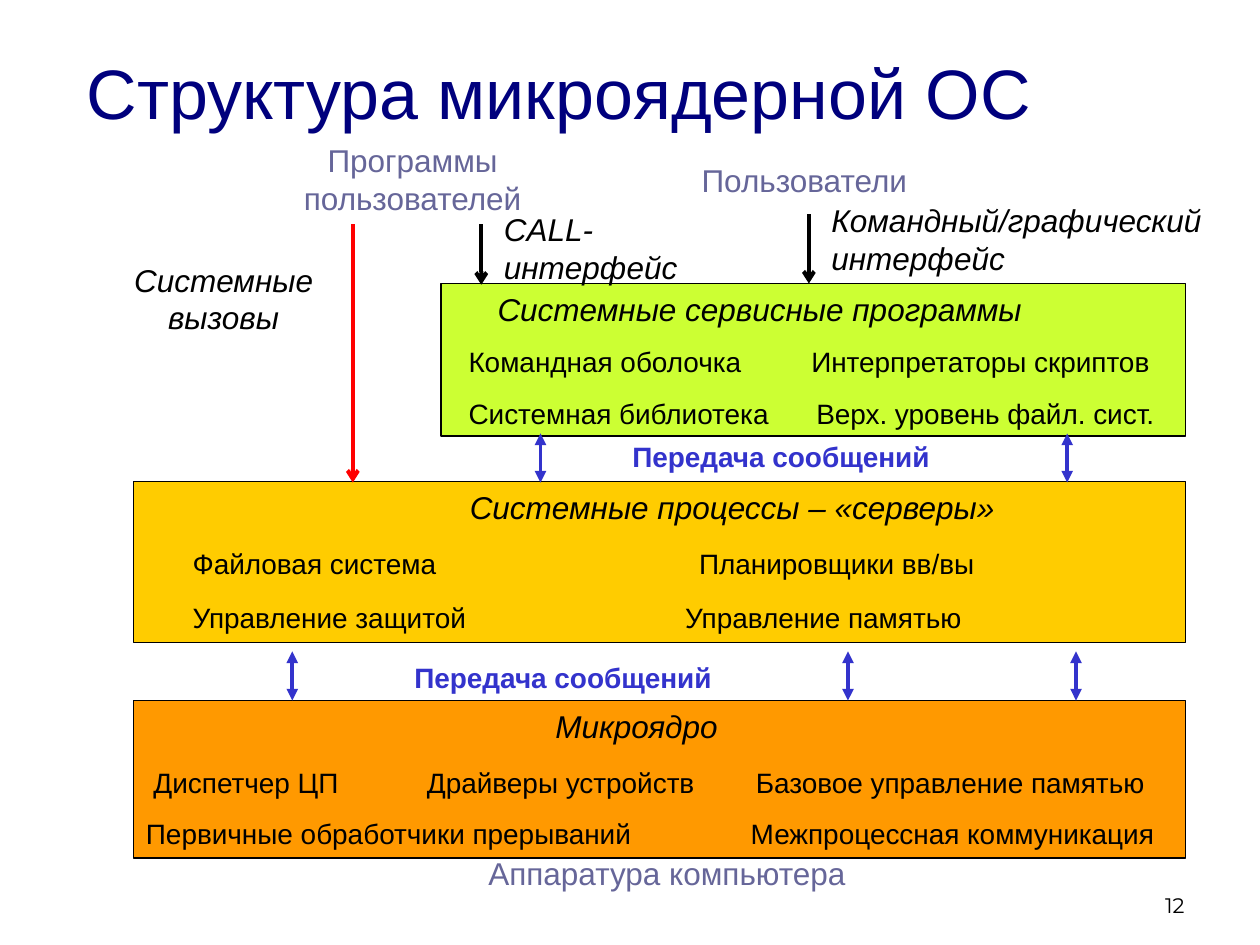
"""Build a slide showing the layered structure of a microkernel operating system."""
from pptx import Presentation
from pptx.dml.color import RGBColor
from pptx.enum.shapes import MSO_CONNECTOR, MSO_SHAPE
from pptx.enum.text import MSO_ANCHOR, PP_ALIGN
from pptx.oxml.ns import qn
from pptx.oxml.xmlchemy import OxmlElement
from pptx.util import Inches, Pt

LEFT, CENTER, RIGHT = PP_ALIGN.LEFT, PP_ALIGN.CENTER, PP_ALIGN.RIGHT
TOP, MIDDLE, BOTTOM = MSO_ANCHOR.TOP, MSO_ANCHOR.MIDDLE, MSO_ANCHOR.BOTTOM
RECTANGLE, STRAIGHT = MSO_SHAPE.RECTANGLE, MSO_CONNECTOR.STRAIGHT
CELL = Inches(0.1)
COLUMNS, ROWS = 100, 75
BLACK, RED, NAVY, SLATE, BLUE = "000000", "FF0000", "00007D", "666699", "3333CC"


def grid(*cells):
    return [round(cell * CELL) for cell in cells]


def color(value):
    return RGBColor.from_string(value)


deck = Presentation()
deck.slide_width, deck.slide_height = grid(COLUMNS, ROWS)
page = deck.slides.add_slide(deck.slide_layouts[6])

layers = [
    ((35, 22.5, 59.1, 12.1), "CCFF33", [
        (0, [(3.5, "Системные сервисные программы")]),
        (10, [(1.2, "Командная оболочка"), (28.4, "Интерпретаторы скриптов")]),
        (10, [(1.2, "Системная библиотека"), (28.8, "Верх. уровень файл. сист.")]),
    ]),
    ((10.6, 38.2, 83.5, 12.8), "FFCC00", [
        (0, [(25.7, "Системные процессы – «серверы»")]),
        (12, [(3.7, "Файловая система"), (43.9, "Планировщики вв/вы")]),
        (12, [(3.7, "Управление защитой"), (42.8, "Управление памятью")]),
    ]),
    ((10.6, 55.6, 83.5, 12.5), "FF9900", [
        (0, [(32.5, "Микроядро")]),
        (12, [(0.6, "Диспетчер ЦП"), (22.3, "Драйверы устройств"),
              (48.4, "Базовое управление памятью")]),
        (10, [(0, "Первичные обработчики прерываний"),
              (48, "Межпроцессная коммуникация")]),
    ]),
]
for place, fill, lines in layers:
    box = page.shapes.add_shape(RECTANGLE, *grid(*place))
    box.shadow.inherit = False
    box.fill.solid()
    box.fill.fore_color.rgb = color(fill)
    box.line.color.rgb = color(BLACK)
    box.line.width = Pt(0.75)
    frame = box.text_frame
    frame.word_wrap = True
    frame.vertical_anchor = TOP
    for index, (gap, items) in enumerate(lines):
        para = frame.add_paragraph() if index else frame.paragraphs[0]
        para.text = "".join(("\t" if stop else "") + words for stop, words in items)
        para.alignment = LEFT
        if index:
            para.space_before = Pt(gap)
        tabs = OxmlElement("a:tabLst")
        for stop, words in items:
            if stop:
                tab = OxmlElement("a:tab")
                tab.set("pos", str(grid(stop)[0]))
                tab.set("algn", "l")
                tabs.append(tab)
        para._p.get_or_add_pPr().append(tabs)
        para.font.name = "Arial"
        para.font.size = Pt(16 if index else 18)
        para.font.italic = index == 0
        para.font.color.rgb = color(BLACK)

arrows = [
    (28, 17.8, 38.3, RED, False),
    (38.2, 17.8, 22.6, BLACK, False),
    (64.2, 17, 22.5, BLACK, False),
]
arrows += [(column, 34.4, 38.3, BLUE, True) for column in (42.9, 84.7)]
arrows += [(column, 51.7, 55.6, BLUE, True) for column in (23.2, 67.3, 85.4)]
for column, top, bottom, ink, both_ways in arrows:
    arrow = page.shapes.add_connector(STRAIGHT, *grid(column, top, column, bottom))
    arrow.line.color.rgb = color(ink)
    arrow.line.width = Pt(2.25)
    properties = arrow._element.spPr
    for end in ("a:headEnd", "a:tailEnd") if both_ways else ("a:tailEnd",):
        tip = OxmlElement(end)
        tip.set("type", "triangle" if both_ways else "arrow")
        properties.find(qn("a:ln")).append(tip)
    properties.append(OxmlElement("a:effectLst"))

plain, italic, bold = (False, False), (False, True), (True, False)
labels = [
    ("Структура микроядерной ОС", (5.9, 3.6, 89, 7.3), "Arial", 40, NAVY, plain, LEFT, MIDDLE),
    ("Программы пользователей", (22.9, 10.7, 19.7, 7), "Arial", 18, SLATE, plain, CENTER, TOP),
    ("Пользователи", (54.7, 12.3, 19.7, 4), "Arial", 18, SLATE, plain, LEFT, TOP),
    ("Системные вызовы", (9.1, 20.2, 17.3, 7), "Arial", 18, BLACK, italic, CENTER, TOP),
    ("СALL-интерфейс", (39, 16.2, 16.5, 7), "Arial", 18, BLACK, italic, LEFT, TOP),
    ("Командный/графический интерфейс", (65, 15.5, 32.3, 7), "Arial", 18, BLACK, italic, LEFT, TOP),
    ("Аппаратура компьютера", (35, 67.3, 33.1, 4), "Arial", 18, SLATE, plain, RIGHT, TOP),
    ("Передача сообщений", (31.9, 51.9, 37, 3.7), "Arial", 16, BLUE, bold, LEFT, TOP),
    ("Передача сообщений", (49.2, 34.4, 37, 3.7), "Arial", 16, BLUE, bold, LEFT, TOP),
    ("12", (71.7, 68.3, 23.3, 5), "Montserrat", 12, BLACK, plain, RIGHT, BOTTOM),
]
for words, place, face, size, ink, (heavy, slanted), side, anchor in labels:
    box = page.shapes.add_textbox(*grid(*place))
    frame = box.text_frame
    frame.word_wrap = True
    frame.vertical_anchor = anchor
    para = frame.paragraphs[0]
    para.text = words
    para.alignment = side
    para.font.name = face
    para.font.size = Pt(size)
    para.font.bold = heavy
    para.font.italic = slanted
    para.font.color.rgb = color(ink)

deck.save("out.pptx")
